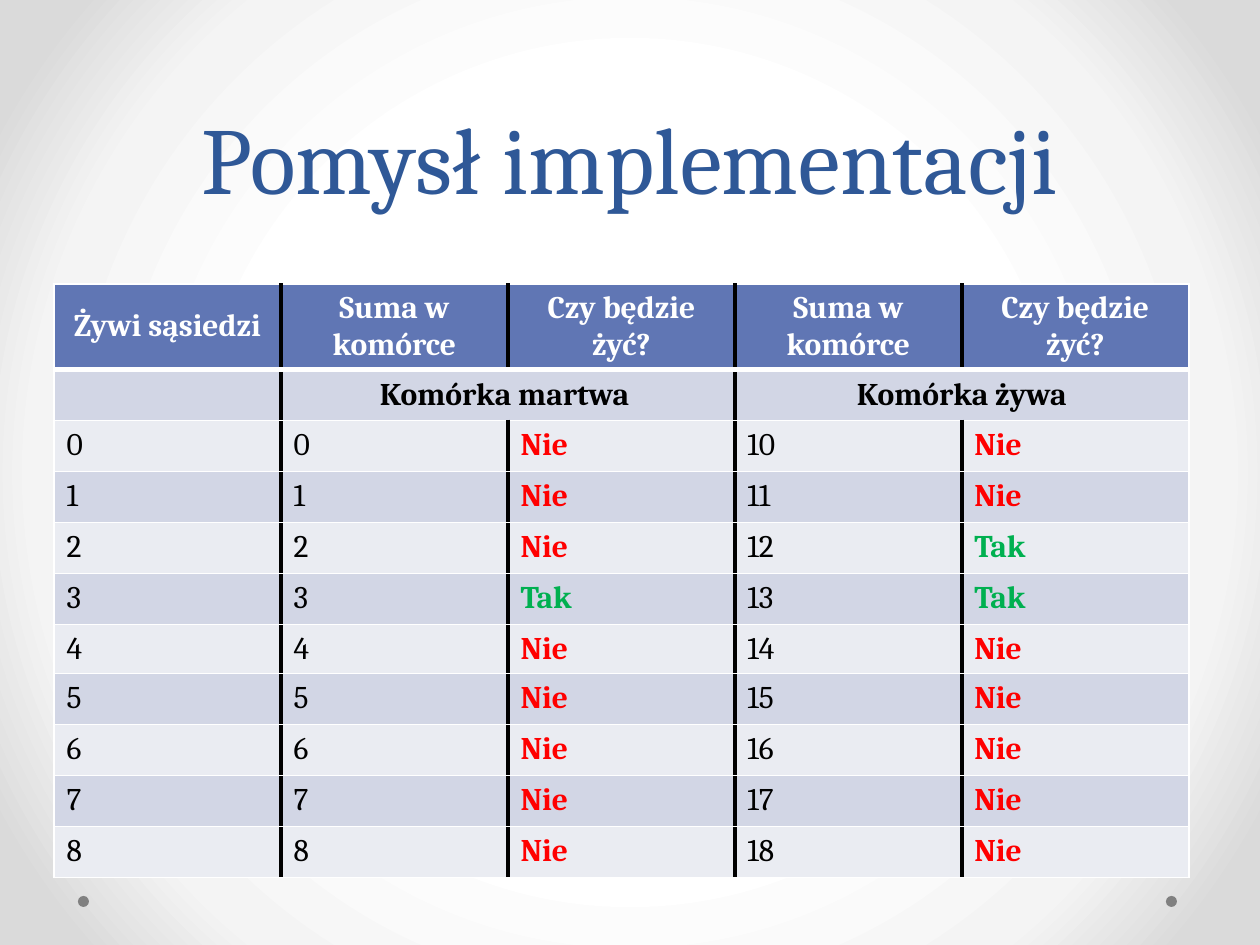
from pptx import Presentation
from pptx.dml.color import RGBColor
from pptx.enum.shapes import MSO_SHAPE
from pptx.enum.text import MSO_ANCHOR, PP_ALIGN
from pptx.oxml import parse_xml
from pptx.oxml.ns import nsdecls
from pptx.util import Pt

SCALE = 914400 // 126
WHITE = RGBColor(0xFF, 0xFF, 0xFF)
BLACK = RGBColor(0, 0, 0)
GRAY = RGBColor(0x80, 0x80, 0x80)
NAVY = RGBColor(0x2F, 0x58, 0x97)
BLUE = RGBColor(0x60, 0x76, 0xB4)
BAND_DARK = RGBColor(0xD2, 0xD6, 0xE5)
BAND_LIGHT = RGBColor(0xEA, 0xEC, 0xF2)
RED = RGBColor(0xFF, 0, 0)
GREEN = RGBColor(0, 0xB0, 0x50)
BACKDROP = ((50, WHITE), (76, RGBColor(0xF4, 0xF4, 0xF4)), (92, RGBColor(0xDA, 0xDA, 0xDA)))


def px(n):
    return n * SCALE


def write(tf, text, size=18, color=BLACK, bold=False, align=PP_ALIGN.LEFT, font="Cambria", spacing=None):
    p = tf.paragraphs[0]
    p.alignment = align
    if spacing:
        p.line_spacing = Pt(spacing)
    r = p.add_run()
    r.text = text
    r.font.name = font
    r.font.size = Pt(size)
    r.font.bold = bold
    r.font.color.rgb = color


class Deck:
    def __init__(self, width, height):
        self.prs = Presentation()
        self.prs.slide_width = px(width)
        self.prs.slide_height = px(height)
        self.s = self.prs.slides.add_slide(self.prs.slide_layouts[5])

    def background(self, stops):
        self.s.background.fill.solid()
        solid = self.s.element.xpath("p:cSld/p:bg/p:bgPr/a:solidFill")[0]
        gs = "".join(
            f'<a:gs pos="{pos * 1000}"><a:srgbClr val="{color}"/></a:gs>' for pos, color in stops
        )
        solid.getparent().replace(solid, parse_xml(
            f'<a:gradFill {nsdecls("a")} rotWithShape="1"><a:gsLst>{gs}</a:gsLst><a:path path="circle">'
            '<a:fillToRect l="50000" t="50000" r="50000" b="50000"/></a:path></a:gradFill>'
        ))

    def dot(self, x, y, size):
        sp = self.s.shapes.add_shape(MSO_SHAPE.OVAL, px(x), px(y), px(size), px(size))
        sp.shadow.inherit = False
        sp.fill.solid()
        sp.fill.fore_color.rgb = GRAY
        sp.line.fill.background()

    def title(self, text, x, y, w, h):
        sp = self.s.shapes.title
        sp.left, sp.top, sp.width, sp.height = px(x), px(y), px(w), px(h)
        sp.text_frame.vertical_anchor = MSO_ANCHOR.BOTTOM
        write(sp.text_frame, text, size=54, color=NAVY, align=PP_ALIGN.CENTER, spacing=58)

    def table(self, x, y, col_width, heights, cols):
        frame = self.s.shapes.add_table(
            len(heights), cols, px(x), px(y), px(col_width * cols), px(sum(heights))
        )
        table = frame.table
        table.first_row = table.horz_banding = False
        for col in table.columns:
            col.width = px(col_width)
        for row, height in zip(table.rows, heights):
            row.height = px(height)
        return table

    def cell(self, cell, fill, borders, text="", anchor=MSO_ANCHOR.TOP, **fmt):
        tcPr = cell._tc.get_or_add_tcPr()
        for side, (color, width) in zip("LRTB", borders):
            tcPr.append(parse_xml(
                f'<a:ln{side} {nsdecls("a")} w="{Pt(width)}"><a:solidFill>'
                f'<a:srgbClr val="{color}"/></a:solidFill></a:ln{side}>'
            ))
        cell.fill.solid()
        cell.fill.fore_color.rgb = fill
        cell.vertical_anchor = anchor
        if text:
            write(cell.text_frame, text, **fmt)


THIN, DIVIDER, HEADER_RULE = (WHITE, 1), (BLACK, 2.25), (WHITE, 3)
CENTERED = dict(bold=True, align=PP_ALIGN.CENTER, anchor=MSO_ANCHOR.MIDDLE)
ANSWERS = {True: ("Tak", GREEN), False: ("Nie", RED)}
SURVIVES = {2, 3}
BORN = {3}

rows = [
    ["Żywi sąsiedzi"] + ["Suma w komórce", "Czy będzie żyć?"] * 2,
    ["", "Komórka martwa ", "", "Komórka żywa", ""],
]
for n in range(9):
    rows.append([str(n), str(n), ANSWERS[n in BORN], str(10 + n), ANSWERS[n in SURVIVES]])

deck = Deck(1260, 945)
deck.background(BACKDROP)
for x in (1166, 78):
    deck.dot(x, 896, 11)
deck.title("Pomysł implementacji", 63, 0, 1134, 220)

table = deck.table(54, 284, 227, [85] + [51] * 5 + [49] + [51] * 4, 5)
for c in (1, 3):
    table.cell(1, c).merge(table.cell(1, c + 1))

for i, row in enumerate(rows):
    fill = BLUE if i == 0 else BAND_DARK if i % 2 else BAND_LIGHT
    for c, value in enumerate(row):
        borders = (
            DIVIDER if c > 0 and not (i == 1 and c in (2, 4)) else THIN,
            DIVIDER if c < 4 and not (i == 1 and c == 3) else THIN,
            HEADER_RULE if i == 1 else THIN,
            HEADER_RULE if i == 0 else THIN,
        )
        if i < 2:
            fmt = dict(CENTERED, text=value, color=BLACK if i else WHITE)
        elif c in (2, 4):
            fmt = dict(text=value[0], color=value[1], bold=True)
        else:
            fmt = dict(text=value)
        deck.cell(table.cell(i, c), fill, borders, **fmt)

deck.prs.save("out.pptx")
